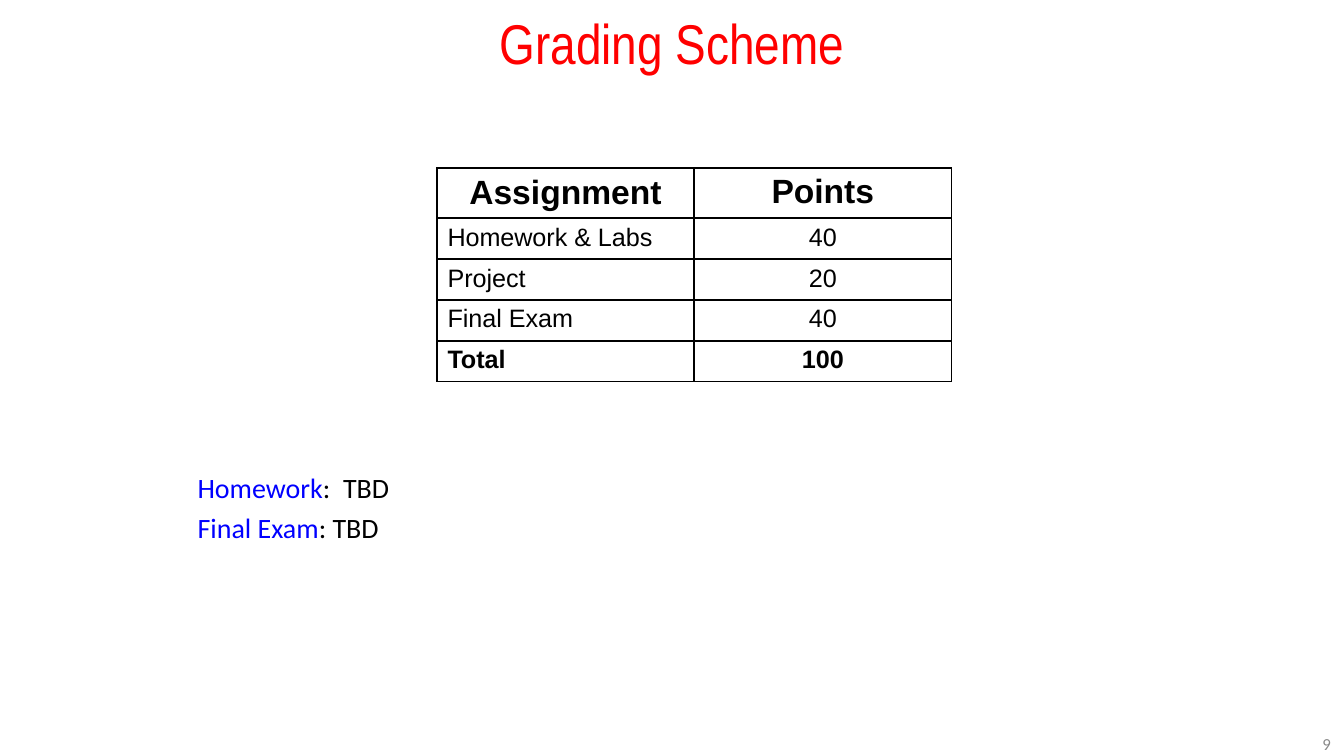
from lxml.etree import SubElement
from pptx import Presentation
from pptx.dml.color import RGBColor
from pptx.enum.text import MSO_ANCHOR, MSO_AUTO_SIZE, PP_ALIGN
from pptx.oxml.ns import qn
from pptx.util import Inches, Pt

HUES = {"title": "FF0000", "term": "0000FF", "ink": "000000",
        "page": "898989", "back": "FFFFFF"}
WIDE = 10
HIGH = WIDE * 9 / 16
GRADES = [("Assignment", "Points"), ("Homework & Labs", "40"),
          ("Project", "20"), ("Final Exam", "40"), ("Total", "100")]
NOTES = [("Homework", ":  TBD"), ("Final Exam", ": TBD")]


def hue(name):
    """Return the named colour."""
    return RGBColor.from_string(HUES[name])


def style(para, size, face, tint, align=PP_ALIGN.LEFT, bold=False):
    """Format a whole paragraph."""
    para.alignment = align
    font = para.font
    font.size, font.name, font.bold = Pt(size), face, bold
    font.color.rgb = hue(tint)


def place(shape, box):
    """Move a shape to a box in inches and return its text frame."""
    shape.left, shape.top, shape.width, shape.height = map(Inches, box)
    frame = shape.text_frame
    frame.word_wrap = True
    frame.auto_size = MSO_AUTO_SIZE.NONE
    return frame


def inset(part):
    """Set the narrow margins of the title and the cells."""
    part.margin_left = part.margin_right = Inches(0.08)
    part.margin_top = part.margin_bottom = Inches(0.04)


def add_title(slide, box):
    """Fill the title placeholder."""
    frame = place(slide.shapes.title, box)
    inset(frame)
    frame.vertical_anchor = MSO_ANCHOR.MIDDLE
    frame.text = "Grading Scheme"
    style(frame.paragraphs[0], 30, "Arial Narrow", "title", PP_ALIGN.CENTER)


def add_notes(slide, box):
    """Fill the body placeholder with terms below the table."""
    frame = place(slide.placeholders[1], box)
    frame.vertical_anchor = MSO_ANCHOR.TOP
    frame.margin_top = Inches(box[3] * 7 / 12)
    for row, (term, rest) in enumerate(NOTES):
        para = frame.add_paragraph() if row else frame.paragraphs[0]
        style(para, 15, "Calibri", "ink")
        para.space_before = Pt(3)
        props = para._p.get_or_add_pPr()
        props.set("marL", str(Inches(0.38)))
        props.set("indent", str(-Inches(0.38)))
        props.insert_element_before(
            props.makeelement(qn("a:buNone"), {}), "a:tabLst", "a:defRPr")
        head = para.add_run()
        head.text = term
        head.font.color.rgb = hue("term")
        para.add_run().text = rest


def edge(cell):
    """Draw a thin line on each side of a cell."""
    props = cell._tc.get_or_add_tcPr()
    for spot, side in enumerate(("lnL", "lnR", "lnT", "lnB")):
        line = props.makeelement(qn(f"a:{side}"), {"w": str(Pt(1))})
        fill = SubElement(line, qn("a:solidFill"))
        SubElement(fill, qn("a:srgbClr"), val=HUES["ink"])
        props.insert(spot, line)


def add_grades(slide, box):
    """Add the table of points, with a taller first row."""
    rows, cols = len(GRADES), len(GRADES[0])
    table = slide.shapes.add_table(rows, cols, *map(Inches, box)).table
    first = box[3] * 4 / 17
    rest = (box[3] - first) / (rows - 1)
    for col in table.columns:
        col.width = Inches(box[2] / cols)
    for r, words in enumerate(GRADES):
        table.rows[r].height = Inches(rest if r else first)
        for c, word in enumerate(words):
            cell = table.cell(r, c)
            cell.text = word
            inset(cell)
            cell.fill.background()
            edge(cell)
            left = r > 0 and c == 0
            style(cell.text_frame.paragraphs[0], 13.5 if r else 18, "Arial",
                  "ink", PP_ALIGN.LEFT if left else PP_ALIGN.CENTER,
                  r in (0, rows - 1))
    table.cell(0, 0).vertical_anchor = MSO_ANCHOR.MIDDLE


def add_page(slide, box):
    """Add the page number in the corner."""
    frame = place(slide.shapes.add_textbox(0, 0, 0, 0), box)
    frame.vertical_anchor = MSO_ANCHOR.MIDDLE
    frame.text = "9"
    style(frame.paragraphs[0], 9, "Calibri", "page", PP_ALIGN.RIGHT)


def main():
    """Build and save the slide."""
    deck = Presentation()
    deck.slide_width, deck.slide_height = Inches(WIDE), Inches(HIGH)
    slide = deck.slides.add_slide(deck.slide_layouts[1])
    slide.background.fill.solid()
    slide.background.fill.fore_color.rgb = hue("back")
    add_notes(slide, (1.37, 1.06, 7.25, 4.19))
    add_title(slide, (0, 0, WIDE, HIGH / 9))
    add_grades(slide, (3.25, 1.25, 3.83, 1.59))
    add_page(slide, (7.92, 5.44, 2.08, 0.19))
    deck.save("out.pptx")


if __name__ == "__main__":
    main()
